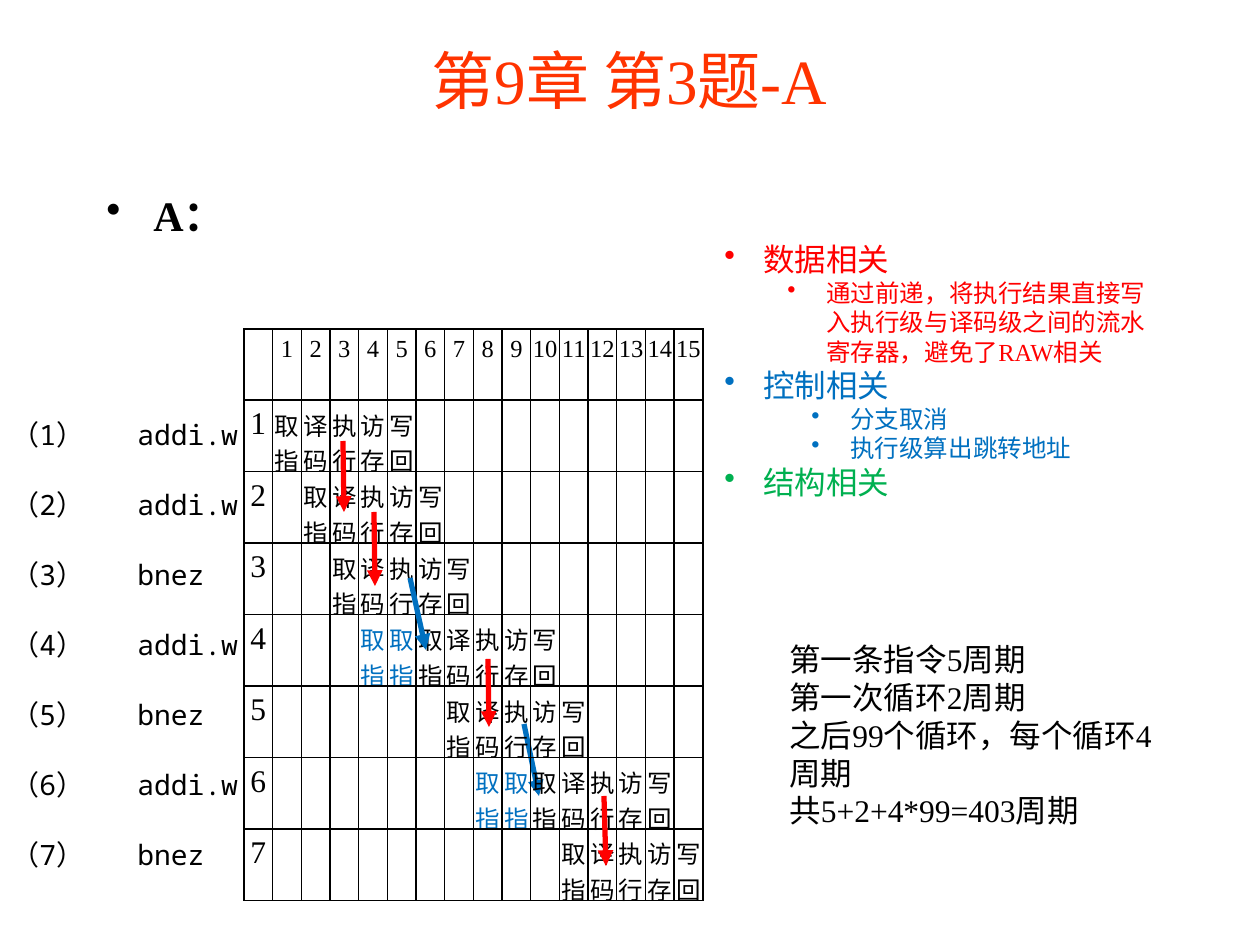
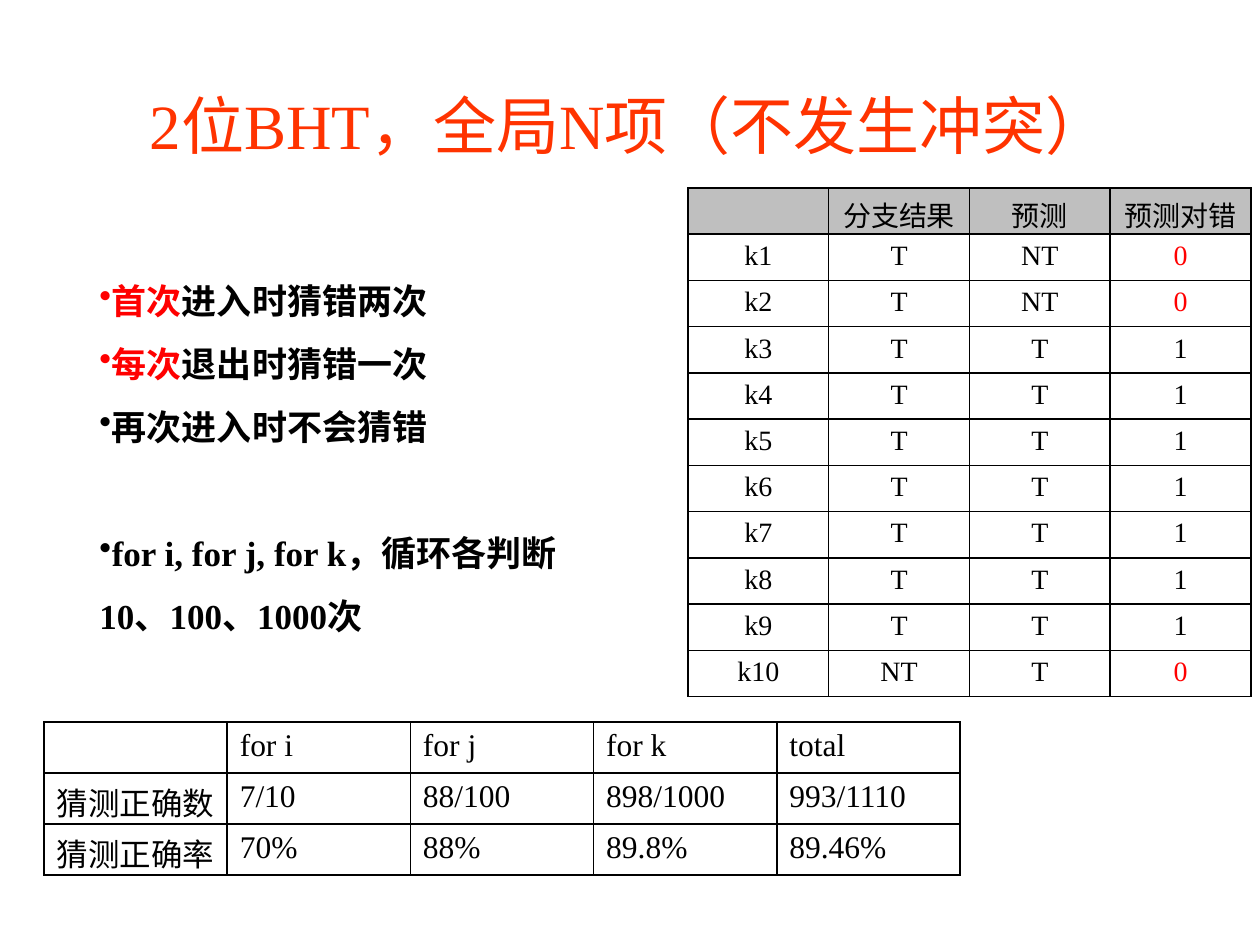
import dataclasses

import lxml.etree
import pptx
import pptx.dml.color
import pptx.enum.lang
import pptx.enum.shapes
import pptx.enum.text
import pptx.oxml.ns
import pptx.shapes.autoshape
import pptx.slide
import pptx.table
import pptx.text.text
import pptx.util

COLORS = {
    "title": "FF3300",
    "text": "000000",
    "red": "FF0000",
    "blue": "0070C0",
    "green": "00B050",
    "header": "BFBFBF",
}
SERIF = "Times New Roman"
MONO = "Noto Sans Mono"
STAGES = ["取指", "译码", "执行", "访存", "写回"]
CYCLES = 15
LEFT = pptx.enum.text.PP_ALIGN.LEFT
CENTER = pptx.enum.text.PP_ALIGN.CENTER


@dataclasses.dataclass(frozen=True)
class Run:
    text: str
    color: str = "text"


@dataclasses.dataclass(frozen=True)
class Para:
    runs: list[Run]
    size: int
    margin: int = 0
    hang: int = 0
    bullet: bool = False
    bold: bool = False
    font: str = SERIF
    align: pptx.enum.text.PP_ALIGN = LEFT
    spacing: float | pptx.util.Length | None = None
    before: int = 0


@dataclasses.dataclass(frozen=True)
class Cell:
    text: str = ""
    size: int = 14
    color: str = "text"
    fill: str = ""


@dataclasses.dataclass(frozen=True)
class Arrow:
    x1: int
    y1: int
    x2: int
    y2: int
    color: str = "red"


@dataclasses.dataclass(frozen=True)
class Instruction:
    name: str
    start: int
    cancelled: int = 0


PROGRAM = [
    Instruction("addi.w", 1),
    Instruction("addi.w", 2),
    Instruction("bnez", 3),
    Instruction("addi.w", 6, 2),
    Instruction("bnez", 7),
    Instruction("addi.w", 10, 2),
    Instruction("bnez", 11),
]
BRANCH_BEHIND = Arrow(524, 724, 539, 796, "blue")
ARROWS = [
    Arrow(343, 441, 344, 512),
    Arrow(374, 512, 375, 586),
    Arrow(488, 659, 489, 727),
    Arrow(604, 796, 606, 866),
    Arrow(410, 578, 426, 650, "blue"),
]


def px(n: float) -> pptx.util.Emu:
    return pptx.util.Emu(round(n * 914400 / 126))


def rgb(name: str) -> pptx.dml.color.RGBColor:
    return pptx.dml.color.RGBColor.from_string(COLORS[name])


def child(parent: lxml.etree.ElementBase, tag: str, **attrs: str) -> lxml.etree.ElementBase:
    return lxml.etree.SubElement(parent, pptx.oxml.ns.qn(tag), attrs)


def write(p: pptx.text.text._Paragraph, text: str, *, size: int, color: str = "text",
          font: str = SERIF, bold: bool = False) -> None:
    r = p.add_run()
    r.text = text
    r.font.size = pptx.util.Pt(size)
    r.font.name = font
    r.font.bold = bold
    r.font.color.rgb = rgb(color)
    r.font.language_id = pptx.enum.lang.MSO_LANGUAGE_ID.SIMPLIFIED_CHINESE


def add_text(s: pptx.slide.Slide, box: tuple[int, int, int, int], paras: list[Para],
             anchor: pptx.enum.text.MSO_ANCHOR = pptx.enum.text.MSO_ANCHOR.TOP) -> None:
    tf = s.shapes.add_textbox(*map(px, box)).text_frame
    tf.word_wrap = True
    tf.vertical_anchor = anchor
    for i, para in enumerate(paras):
        p = tf.add_paragraph() if i else tf.paragraphs[0]
        if para.bullet:
            pPr = p._p.get_or_add_pPr()
            pPr.set("marL", str(px(para.margin)))
            pPr.set("indent", str(-px(para.hang)))
            child(pPr, "a:buChar", char="•")
        p.alignment = para.align
        if para.spacing:
            p.line_spacing = para.spacing
        if para.before:
            p.space_before = pptx.util.Pt(para.before)
        for run in para.runs:
            write(p, run.text, size=para.size, color=run.color, font=para.font, bold=para.bold)


def add_title(s: pptx.slide.Slide, text: str, top: int) -> None:
    add_text(s, (94, top, 1071, 158), [Para([Run(text, "title")], 36, align=CENTER)],
             pptx.enum.text.MSO_ANCHOR.MIDDLE)


def add_arrow(s: pptx.slide.Slide, arrow: Arrow) -> None:
    sp = s.shapes.add_connector(pptx.enum.shapes.MSO_CONNECTOR.STRAIGHT,
                                px(arrow.x1), px(arrow.y1), px(arrow.x2), px(arrow.y2))
    sp.line.color.rgb = rgb(arrow.color)
    sp.line.width = pptx.util.Pt(3)
    child(sp.line._get_or_add_ln(), "a:tailEnd", type="triangle")
    child(sp._element.spPr, "a:effectLst")


def add_borders(cell: pptx.table._Cell) -> None:
    tcPr = cell._tc.get_or_add_tcPr()
    for i, side in enumerate("LRTB"):
        ln = child(tcPr, f"a:ln{side}", w=str(pptx.util.Pt(1)))
        child(child(ln, "a:solidFill"), "a:srgbClr", val=COLORS["text"])
        tcPr.insert(i, ln)


def add_table(s: pptx.slide.Slide, box: tuple[int, int, int, int], rows: list[list[Cell]],
              align: pptx.enum.text.PP_ALIGN = CENTER, tight: bool = False) -> None:
    table = s.shapes.add_table(len(rows), len(rows[0]), *map(px, box)).table
    table.first_row = False
    table.horz_banding = False
    for i, row in enumerate(rows):
        for j, item in enumerate(row):
            cell = table.cell(i, j)
            if tight:
                cell.margin_left = cell.margin_right = 0
            if item.fill:
                cell.fill.solid()
                cell.fill.fore_color.rgb = rgb(item.fill)
            else:
                cell.fill.background()
            add_borders(cell)
            p = cell.text_frame.paragraphs[0]
            p.alignment = align
            if item.text:
                write(p, item.text, size=item.size, color=item.color)
            else:
                p.font.size = pptx.util.Pt(item.size)


def pipeline_row(number: int, instruction: Instruction) -> list[Cell]:
    row = [Cell(str(number), 18)] + [Cell() for _ in range(CYCLES)]
    for cycle in range(instruction.start - instruction.cancelled, instruction.start):
        row[cycle] = Cell(STAGES[0], color="blue")
    for offset, stage in enumerate(STAGES):
        row[instruction.start + offset] = Cell(stage)
    return row


def prediction_row(k: int) -> list[Cell]:
    branch = "NT" if k == 10 else "T"
    guess = "NT" if k <= 2 else "T"
    hit = branch == guess
    return [Cell(f"k{k}", 16), Cell(branch, 16), Cell(guess, 16),
            Cell(str(int(hit)), 16, "text" if hit else "red")]


def hazard(text: str, color: str, size: int = 18, margin: int = 39) -> Para:
    return Para([Run(text, color)], size, margin, 39, bullet=True)


def point(*runs: Run, before: int = 0) -> Para:
    return Para(list(runs), 20, 0, 31, bullet=True, bold=True, spacing=1.5, before=before)


def build_pipeline(s: pptx.slide.Slide) -> None:
    add_title(s, "第9章 第3题-A", 0)
    add_text(s, (94, 158, 1071, 767),
             [Para([Run("A：")], 24, 47, 47, bullet=True, bold=True, spacing=1.5)])
    add_arrow(s, BRANCH_BEHIND)
    summary = ["第一条指令5周期", "第一次循环2周期", "之后99个循环，每个循环4周期", "共5+2+4*99=403周期"]
    add_text(s, (777, 634, 403, 203), [Para([Run(line)], 18) for line in summary])
    add_text(s, (712, 234, 469, 276), [
        hazard("数据相关", "red"),
        hazard("通过前递，将执行结果直接写入执行级与译码级之间的流水寄存器，避免了RAW相关", "red", 14, 102),
        hazard("控制相关", "blue"),
        hazard("分支取消", "blue", 14, 126),
        hazard("执行级算出跳转地址", "blue", 14, 126),
        hazard("结构相关", "green"),
    ])
    add_text(s, (-1, 375, 315, 508), [
        Para([Run(f"（{n}）\t{instruction.name}")], 16, font=MONO, spacing=pptx.util.Pt(40))
        for n, instruction in enumerate(PROGRAM, 1)])
    header = [Cell()] + [Cell(str(cycle)) for cycle in range(1, CYCLES + 1)]
    body = [pipeline_row(n, instruction) for n, instruction in enumerate(PROGRAM, 1)]
    add_table(s, (244, 329, 459, 570), [header] + body, tight=True)
    for arrow in ARROWS:
        add_arrow(s, arrow)


def build_prediction(s: pptx.slide.Slide) -> None:
    add_title(s, "2位BHT，全局N项（不发生冲突）", 45)
    add_text(s, (87, 252, 518, 600), [
        point(Run("首次", "red"), Run("进入时猜错两次")),
        point(Run("每次", "red"), Run("退出时猜错一次")),
        point(Run("再次进入时不会猜错")),
        point(Run("for i, for j, for k，循环各判断10、100、1000次"), before=36),
    ])
    header = [Cell(text, 16, fill="header") for text in ("", "分支结果", "预测", "预测对错")]
    add_table(s, (688, 188, 563, 508), [header] + [prediction_row(k) for k in range(1, 11)])
    accuracy = [
        ["", "for i", "for j", "for k", "total"],
        ["猜测正确数", "7/10", "88/100", "898/1000", "993/1110"],
        ["猜测正确率", "70%", "88%", "89.8%", "89.46%"],
    ]
    add_table(s, (44, 722, 916, 153), [[Cell(text, 18) for text in row] for row in accuracy], LEFT)


def main() -> None:
    prs = pptx.Presentation()
    prs.slide_width, prs.slide_height = px(1260), px(945)
    for build in (build_pipeline, build_prediction):
        build(prs.slides.add_slide(prs.slide_layouts[6]))
    prs.save("out.pptx")


if __name__ == "__main__":
    main()
